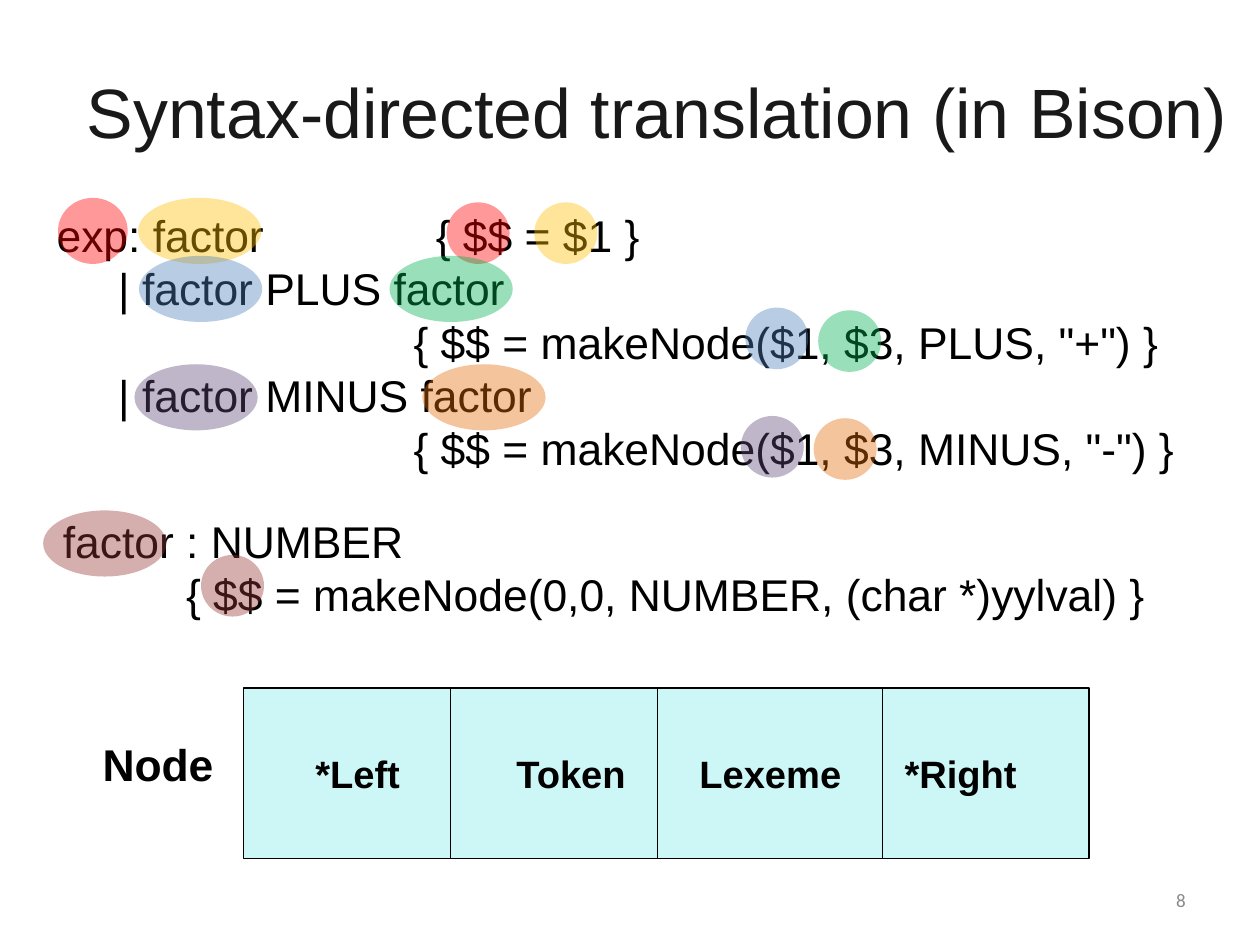
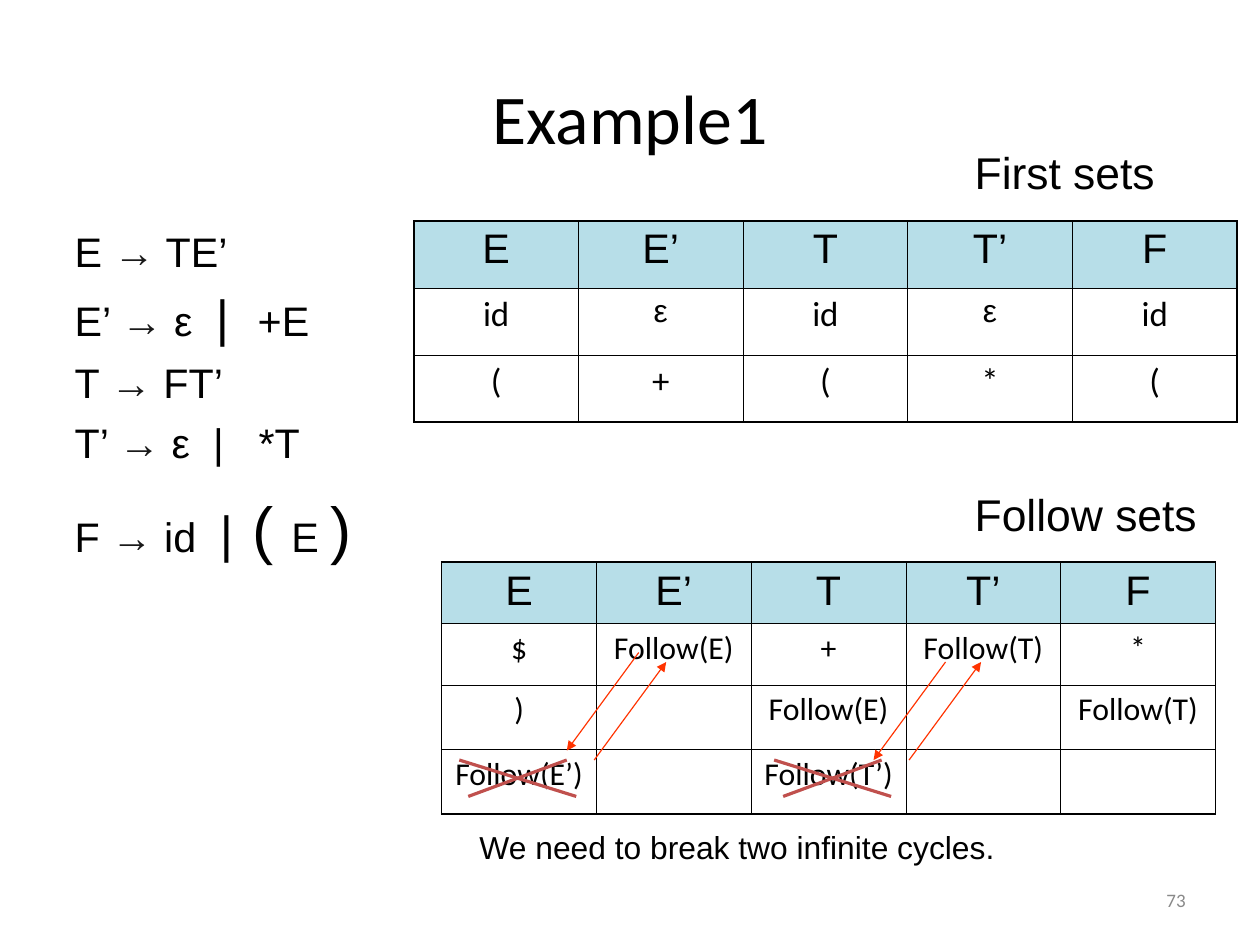
from dataclasses import dataclass

from lxml.etree import SubElement
from pptx import Presentation
from pptx.dml.color import RGBColor
from pptx.enum.shapes import MSO_CONNECTOR, MSO_SHAPE
from pptx.enum.text import MSO_ANCHOR, PP_ALIGN
from pptx.oxml import parse_xml
from pptx.oxml.ns import nsdecls, qn
from pptx.util import Cm, Pt


@dataclass(frozen=True)
class Theme:
    sans: str = "Arial"
    body: str = "Calibri"
    black: str = "000000"
    ink: str = "191919"
    muted: str = "898989"
    node: str = "CDF6F7"
    header: str = "B7DEE8"
    arrow: str = "FF3300"
    cross: str = "C0504D"
    red: str = "FF0000"
    yellow: str = "FFC000"
    blue: str = "4F81BD"
    green: str = "00B050"
    purple: str = "604A7B"
    orange: str = "E46C0A"
    brown: str = "953735"
    title_size: float = 44
    paren_size: float = 40
    bar_size: float = 32
    code_size: float = 28
    rule_size: float = 26
    node_size: float = 24
    entry_size: float = 22
    small_size: float = 20
    page_size: float = 12
    thin: float = 0.45
    thick: float = 1.08
    rule: float = 0.75
    strike: float = 2


THEME = Theme()
SYMBOL = (2.74, 1.47)
START = (1.55, 1.47)
VALUE = (1.4, 1.37)


def rgb(value):
    return RGBColor.from_string(value)


def add_run(paragraph, text, size, color=THEME.black, font=THEME.sans, bold=False):
    run = paragraph.add_run()
    run.text = text
    run.font.size = Pt(size)
    run.font.name = font
    run.font.bold = bold
    run.font.color.rgb = rgb(color)


def set_tabs(paragraph, stops):
    tabs = SubElement(paragraph._p.get_or_add_pPr(), qn("a:tabLst"))
    for stop in stops:
        SubElement(tabs, qn("a:tab"), pos=str(Cm(stop)), algn="l")


def add_frame(slide, left, top, width, height, wrap=True, anchor=MSO_ANCHOR.TOP):
    frame = slide.shapes.add_textbox(Cm(left), Cm(top), Cm(width), Cm(height)).text_frame
    frame.word_wrap = wrap
    frame.vertical_anchor = anchor
    return frame


def add_lines(frame, lines, size, tabs=(), **style):
    for index, line in enumerate(lines):
        paragraph = frame.add_paragraph() if index else frame.paragraphs[0]
        if "\t" in line:
            set_tabs(paragraph, tabs)
        add_run(paragraph, line, size, **style)


def add_line(slide, start, end, color, width, arrow=False):
    line = slide.shapes.add_connector(
        MSO_CONNECTOR.STRAIGHT, Cm(start[0]), Cm(start[1]), Cm(end[0]), Cm(end[1]))
    line.line.color.rgb = rgb(color)
    line.line.width = Pt(width)
    if arrow:
        SubElement(line.line._get_or_add_ln(), qn("a:tailEnd"), type="triangle")
    SubElement(line._element.spPr, qn("a:effectLst"))


def add_highlight(slide, left, top, size, color):
    oval = slide.shapes.add_shape(
        MSO_SHAPE.OVAL, Cm(left), Cm(top), Cm(size[0]), Cm(size[1]))
    oval.shadow.inherit = False
    oval.line.fill.background()
    oval.fill.solid()
    oval.fill.fore_color.rgb = rgb(color)
    tint = oval._element.spPr.find(qn("a:solidFill"))[0]
    SubElement(tint, qn("a:alpha"), val="40000")


def add_page_number(slide, number):
    frame = add_frame(slide, 20.08, 19.46, 6.53, 1.12, anchor=MSO_ANCHOR.MIDDLE)
    frame.paragraphs[0].alignment = PP_ALIGN.RIGHT
    add_run(frame.paragraphs[0], number, THEME.page_size, THEME.muted, THEME.body)


def add_code_title(slide, text):
    frame = add_frame(slide, 1.93, 1.63, 25.4, 3.53, wrap=False)
    frame.margin_left = frame.margin_right = frame.margin_top = frame.margin_bottom = 0
    frame.paragraphs[0].line_spacing = Pt(50)
    add_run(frame.paragraphs[0], text, THEME.title_size, THEME.ink)


def add_centered_title(slide, text):
    frame = add_frame(slide, 1.41, 0.84, 25.2, 3.5, anchor=MSO_ANCHOR.MIDDLE)
    frame.paragraphs[0].alignment = PP_ALIGN.CENTER
    add_run(frame.paragraphs[0], text, THEME.title_size, font=THEME.body)


def add_code(slide, left, top, width, height, lines, highlights, wrap=True):
    frame = add_frame(slide, left, top, width, height, wrap)
    add_lines(frame, lines, THEME.code_size, tabs=(8.43,))
    for color, size, symbol, value in highlights:
        add_highlight(slide, left + symbol[0], top + symbol[1], size, color)
        add_highlight(slide, left + value[0], top + value[1], VALUE, color)


def add_node_record(slide, left, top, width, height):
    record = slide.shapes.add_shape(
        MSO_SHAPE.RECTANGLE, Cm(left), Cm(top), Cm(width), Cm(height))
    record.shadow.inherit = False
    record.fill.solid()
    record.fill.fore_color.rgb = rgb(THEME.node)
    record.line.color.rgb = rgb(THEME.black)
    record.line.width = Pt(THEME.rule)
    frame = record.text_frame
    frame.word_wrap = True
    frame.vertical_anchor = MSO_ANCHOR.MIDDLE
    frame.margin_left = Cm(1.6)
    frame.paragraphs[0].alignment = PP_ALIGN.LEFT
    add_lines(frame, ["*Left\tToken\tLexeme\t*Right"], THEME.node_size,
              tabs=(4.47, 8.54, 13.1), bold=True)
    for offset in (4.6, 9.2, 14.2):
        add_line(slide, (left + offset, top), (left + offset, top + height),
                 THEME.black, THEME.rule)
    name = add_frame(slide, left - 3.38, top + 0.97, 2.97, 1.45, wrap=False)
    add_lines(name, ["Node"], THEME.code_size, bold=True)


def add_productions(slide, left, top, width, height):
    rule, bar, paren = THEME.rule_size, THEME.bar_size, THEME.paren_size
    productions = [
        ("E", 6.5, (), [(" TE’", rule)]),
        ("E’", 6.5, (3.14, 4.07), [(" ε\t", rule), ("|\t", bar), ("+E", rule)]),
        ("T", 6.5, (), [(" FT’", rule)]),
        ("T’", 6.5, (3.08, 4.09), [(" ε\t|\t*T", rule)]),
        ("F", 10, (3.23,), [(" id\t", rule), ("|", bar), (" ", THEME.title_size),
                            ("( ", paren), ("E ", rule), (")", paren)]),
    ]
    frame = add_frame(slide, left, top, width, height)
    for index, (symbol, gap, stops, parts) in enumerate(productions):
        paragraph = frame.add_paragraph() if index else frame.paragraphs[0]
        if index:
            paragraph.space_before = Pt(gap)
        if stops:
            set_tabs(paragraph, stops)
        add_run(paragraph, symbol + " ", rule)
        add_run(paragraph, "→", rule, THEME.ink)
        for text, size in parts:
            add_run(paragraph, text, size)


def set_borders(cell, widths):
    properties = cell._tc.get_or_add_tcPr()
    for index, (side, width) in enumerate(zip("LRTB", widths)):
        properties.insert(index, parse_xml(
            f'<a:ln{side} {nsdecls("a")} w="{Pt(width)}"><a:solidFill>'
            f'<a:srgbClr val="{THEME.black}"/></a:solidFill></a:ln{side}>'))


def add_sets(slide, left, top, column, heights, rows, entry_size, heading, heading_top):
    frame = add_frame(slide, 21.42, heading_top, 5.44, 1.45, wrap=False)
    add_lines(frame, [heading], THEME.code_size)
    last_row, last_column = len(rows) - 1, len(rows[0]) - 1
    table = slide.shapes.add_table(
        len(rows), len(rows[0]), Cm(left), Cm(top),
        Cm(column * len(rows[0])), Cm(sum(heights))).table
    table.first_row = table.horz_banding = False
    for item in table.columns:
        item.width = Cm(column)
    for r, (height, entries) in enumerate(zip(heights, rows)):
        table.rows[r].height = Cm(height)
        for c, entry in enumerate(entries):
            cell = table.cell(r, c)
            if r == 0:
                cell.fill.solid()
                cell.fill.fore_color.rgb = rgb(THEME.header)
                size, font = THEME.rule_size, THEME.sans
            else:
                cell.fill.background()
                size, font = entry_size, THEME.body
            if entry == "ε":
                size, font = THEME.small_size, THEME.sans
            edges = (c == 0, c == last_column, r == 0, r == last_row)
            set_borders(cell, [THEME.thick if edge else THEME.thin for edge in edges])
            paragraph = cell.text_frame.paragraphs[0]
            paragraph.alignment = PP_ALIGN.CENTER
            if entry:
                add_run(paragraph, entry, size, font=font)


def add_cycle(slide, left, top, back):
    strokes = [
        ((3, 0), (4.6, -2.18), True),
        (back, (back[0] - 1.6, back[1] + 2.18), True),
        ((0, 0), (2.6, 0.81), False),
        ((0.2, 0.81), (2.39, 0), False),
    ]
    for start, end, arrow in strokes:
        add_line(slide, (left + start[0], top + start[1]), (left + end[0], top + end[1]),
                 THEME.arrow if arrow else THEME.cross,
                 THEME.rule if arrow else THEME.strike, arrow)


def build_translation(slide):
    add_code_title(slide, "Syntax-directed translation (in Bison)")
    add_page_number(slide, "8")
    indent = " " * 29
    add_code(slide, 1.01, 4.5, 25.6, 6.2, [
        "exp: factor\t{ $$ = $1 }",
        "     | factor PLUS factor",
        indent + '{ $$ = makeNode($1, $3, PLUS, "+") }',
        "     | factor MINUS factor",
        indent + '{ $$ = makeNode($1, $3, MINUS, "-") }',
    ], [
        (THEME.red, START, (0.28, -0.1), (8.92, 0)),
        (THEME.yellow, SYMBOL, (2.06, -0.1), (10.87, 0)),
        (THEME.blue, SYMBOL, (2.08, 1.19), (15.56, 2.34)),
        (THEME.green, SYMBOL, (7.65, 1.19), (17.18, 2.4)),
        (THEME.purple, SYMBOL, (1.98, 3.6), (15.46, 4.75)),
        (THEME.orange, SYMBOL, (8.38, 3.6), (17.08, 4.8)),
    ])
    add_code(slide, 1.15, 11.3, 24.54, 2.62, [
        "factor : NUMBER",
        "          { $$ = makeNode(0,0, NUMBER, (char *)yylval) }",
    ], [(THEME.brown, SYMBOL, (-0.19, 0.05), (3.32, 1.04))], wrap=False)
    add_node_record(slide, 5.41, 15.3, 18.8, 3.8)


def build_example(slide):
    add_page_number(slide, "73")
    add_centered_title(slide, "Example1")
    add_productions(slide, 1.41, 4.91, 12.4, 13.84)
    symbols = ["E", "E’", "T", "T’", "F"]
    add_sets(slide, 9.2, 4.91, 3.66, [1.49] * 3, [
        symbols,
        ["id", "ε", "id", "ε", "id"],
        ["(", "+", "(", "*", "("],
    ], THEME.entry_size, "First sets", 3.1)
    add_sets(slide, 9.82, 12.5, 3.44, [1.37, 1.36, 1.44, 1.43], [
        symbols,
        ["$", "Follow(E)", "+", "Follow(T)", "*"],
        [")", "", "Follow(E)", "", "Follow(T)"],
        ["Follow(E’)", "", "Follow(T’)", "", ""],
    ], THEME.small_size, "Follow sets", 10.7)
    caption = add_frame(slide, 10.41, 18.29, 12.19, 1.09)
    add_lines(caption, ["We need to break two infinite cycles."], THEME.small_size)
    add_cycle(slide, 10.21, 16.9, (3.99, -2.39))
    add_cycle(slide, 17.21, 16.9, (3.81, -2.18))


def main():
    deck = Presentation()
    deck.slide_width, deck.slide_height = Pt(794), Pt(595)
    for build in (build_translation, build_example):
        build(deck.slides.add_slide(deck.slide_layouts[6]))
    deck.save("out.pptx")


if __name__ == "__main__":
    main()
